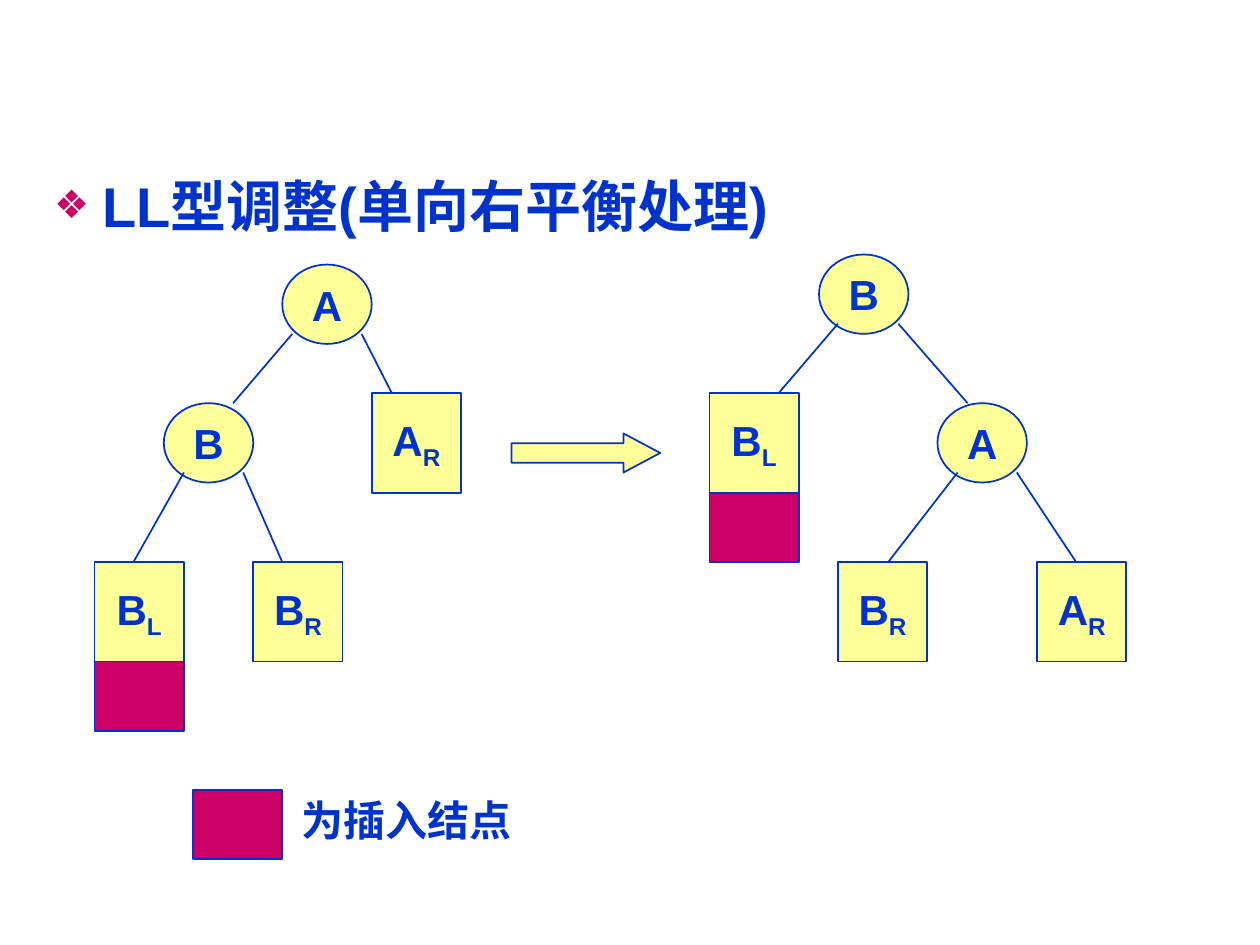
"""Build the slide on LL rotation of a balanced binary tree."""
from lxml import etree
from pptx import Presentation
from pptx.dml.color import RGBColor
from pptx.enum.shapes import MSO_CONNECTOR as CONN, MSO_SHAPE as SHAPE
from pptx.enum.text import MSO_ANCHOR as ANCHOR, PP_ALIGN as ALIGN
from pptx.oxml.ns import qn
from pptx.util import Inches, Pt

COLORS = {"ink": "0033CC", "node": "FFFF99", "new": "CC0066", "paper": "FFFFFF"}
FONT = "Arial"
NODE_W, CIRCLE_H, BOX_H, NEW_H = 0.71, 0.63, 0.79, 0.55


def rgb(name):
    return RGBColor.from_string(COLORS[name])


class Builder:
    def __init__(self, prs):
        self.slide = prs.slides.add_slide(prs.slide_layouts[1])
        title = self.slide.shapes.title
        title.element.getparent().remove(title.element)
        self.shapes = self.slide.shapes

    def group(self):
        self.shapes = self.slide.shapes.add_group_shape().shapes

    def ungroup(self):
        self.shapes = self.slide.shapes

    def run(self, p, text, size, baseline=None):
        r = p.add_run()
        r.text = text
        r.font.name, r.font.size, r.font.bold = FONT, Pt(size), True
        r.font.color.rgb = rgb("ink")
        if baseline:
            r._r.get_or_add_rPr().set("baseline", str(baseline))

    def heading(self, text, x, y, w, h):
        sp = self.slide.placeholders[1]
        sp.left, sp.top, sp.width, sp.height = map(Inches, (x, y, w, h))
        p = sp.text_frame.paragraphs[0]
        p.space_before = Pt(0)
        pPr = p._p.get_or_add_pPr()
        pPr.set("marL", str(Inches(0.38)))
        pPr.set("indent", str(-Inches(0.38)))
        color = etree.SubElement(pPr, qn("a:buClr"))
        etree.SubElement(color, qn("a:srgbClr"), val=COLORS["new"])
        etree.SubElement(pPr, qn("a:buSzPct"), val="70000")
        etree.SubElement(pPr, qn("a:buFont"), typeface=FONT)
        etree.SubElement(pPr, qn("a:buChar"), char="❖")
        self.run(p, text, 32)

    def shape(self, kind, x, y, w, h, fill, text="", sub="", outline=True):
        sp = self.shapes.add_shape(kind, *map(Inches, (x, y, w, h)))
        sp.shadow.inherit = False
        sp.fill.solid()
        sp.fill.fore_color.rgb = rgb(fill)
        if outline:
            sp.line.color.rgb, sp.line.width = rgb("ink"), Pt(1)
        else:
            sp.line.fill.background()
        if text:
            tf = sp.text_frame
            tf.word_wrap, tf.vertical_anchor = False, ANCHOR.MIDDLE
            p = tf.paragraphs[0]
            p.alignment = ALIGN.CENTER
            self.run(p, text, 24)
            if sub:
                self.run(p, sub, 24, -25000)
        return sp

    def circle(self, x, y, text):
        self.shape(SHAPE.OVAL, x, y, NODE_W, CIRCLE_H, "node", text)

    def subtree(self, x, y, text, sub):
        self.shape(SHAPE.RECTANGLE, x, y, NODE_W, BOX_H, "node", text, sub)

    def inserted(self, x, y):
        self.shape(SHAPE.RECTANGLE, x, y, NODE_W, NEW_H, "new")

    def edge(self, x1, y1, x2, y2):
        line = self.shapes.add_connector(CONN.STRAIGHT, *map(Inches, (x1, y1, x2, y2)))
        line.line.color.rgb, line.line.width = rgb("ink"), Pt(1)
        etree.SubElement(line._element.spPr, qn("a:effectLst"))

    def tree(self, circles, subtrees, edges):
        self.group()
        for circle in circles:
            self.circle(*circle)
        for subtree in subtrees:
            self.subtree(*subtree)
        for edge in edges:
            self.edge(*edge)
        self.ungroup()


def main():
    prs = Presentation()
    prs.slide_width, prs.slide_height = Inches(10), Inches(7.5)
    s = Builder(prs)
    s.heading("LL型调整(单向右平衡处理)", 0.33, 1.31, 9.34, 5.59)
    s.inserted(0.75, 5.25)
    s.tree(
        circles=[(2.24, 2.1, "A"), (1.3, 3.2, "B")],
        subtrees=[(2.95, 3.12, "A", "R"), (2.01, 4.46, "B", "R"), (0.75, 4.46, "B", "L")],
        edges=[(2.32, 2.65, 1.85, 3.2), (2.87, 2.65, 3.11, 3.12),
               (1.46, 3.75, 1.06, 4.46), (1.93, 3.75, 2.24, 4.46)],
    )
    s.tree(
        circles=[(6.5, 2.02, "B"), (7.44, 3.2, "A")],
        subtrees=[(8.23, 4.46, "A", "R"), (5.63, 3.12, "B", "L"), (6.65, 4.46, "B", "R")],
        edges=[(6.65, 2.57, 6.18, 3.12), (7.13, 2.57, 7.68, 3.2),
               (7.6, 3.75, 7.05, 4.46), (8.07, 3.75, 8.54, 4.46)],
    )
    s.inserted(5.63, 3.91)
    arrow = s.shape(SHAPE.RIGHT_ARROW, 4.06, 3.44, 1.18, 0.31, "node")
    arrow.adjustments[0], arrow.adjustments[1] = 0.5, 0.94
    s.inserted(1.53, 6.27)
    s.shape(SHAPE.RECTANGLE, 2.32, 6.19, 1.81, 0.63, "paper", "为插入结点", outline=False)
    prs.save("out.pptx")


if __name__ == "__main__":
    main()
